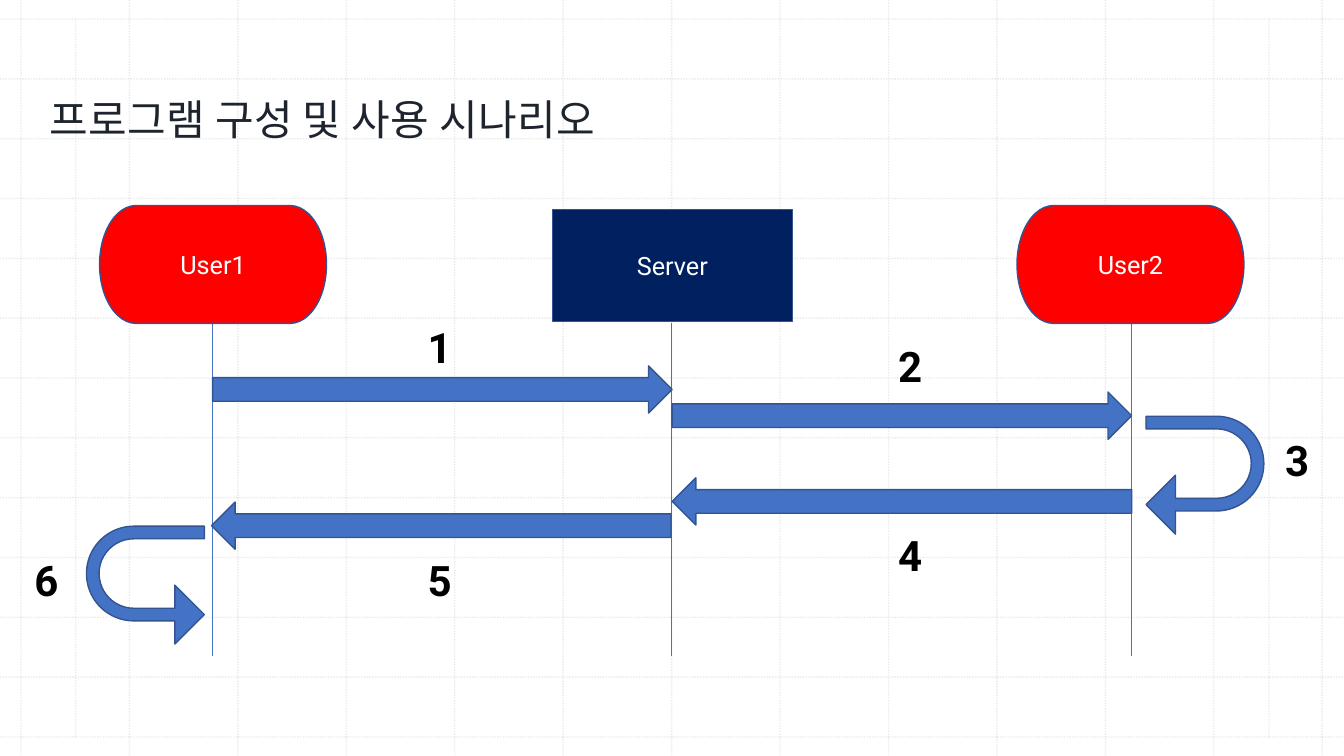
from lxml import etree
from pptx import Presentation
from pptx.dml.color import RGBColor
from pptx.enum.dml import MSO_LINE
from pptx.enum.shapes import MSO_CONNECTOR, MSO_SHAPE
from pptx.enum.text import MSO_ANCHOR, MSO_AUTO_SIZE, PP_ALIGN
from pptx.oxml.ns import qn
from pptx.util import Cm, Pt

STRAIGHT = MSO_CONNECTOR.STRAIGHT
DOTTED = MSO_LINE.ROUND_DOT
TERMINATOR = MSO_SHAPE.FLOWCHART_TERMINATOR
RECTANGLE = MSO_SHAPE.RECTANGLE
ARROW = MSO_SHAPE.RIGHT_ARROW
U_TURN = MSO_SHAPE.U_TURN_ARROW
TOP, MIDDLE = MSO_ANCHOR.TOP, MSO_ANCHOR.MIDDLE
LEFT, CENTER = PP_ALIGN.LEFT, PP_ALIGN.CENTER
GROW = MSO_AUTO_SIZE.SHAPE_TO_FIT_TEXT

COLORS = {
    "grid": "BCBCBC", "title": "1D242E", "user": "FF0000", "server": "002060",
    "arrow": "4472C4", "outline": "325491", "white": "FFFFFF", "black": "000000",
}
WIDTH, HEIGHT = 33.87, 19.05
GRID_STEPS = 12
GRID_LEFT, GRID_RIGHT = 0.53, 33.32
GRID_TOP, GRID_BOTTOM = 0.48, 18.57

deck = Presentation()
deck.slide_width, deck.slide_height = Cm(WIDTH), Cm(HEIGHT)
page = deck.slides.add_slide(deck.slide_layouts[6])


def write(box, text, size=18, color="white", bold=False, align=CENTER, anchor=MIDDLE):
    frame = box.text_frame
    frame.word_wrap = True
    frame.vertical_anchor = anchor
    para = frame.paragraphs[0]
    para.alignment = align
    span = para.add_run()
    span.text = text
    span.font.name = "Roboto"
    span.font.size = Pt(size)
    span.font.bold = bold
    span.font.color.rgb = RGBColor.from_string(COLORS[color])
    return para


def draw_line(x1, y1, x2, y2, color, width):
    line = page.shapes.add_connector(STRAIGHT, Cm(x1), Cm(y1), Cm(x2), Cm(y2))
    line.line.color.rgb = RGBColor.from_string(COLORS[color])
    line.line.width = Pt(width)
    if color == "grid":
        line.line.dash_style = DOTTED
        tint = line._element.find(".//" + qn("a:srgbClr"))
        etree.SubElement(tint, qn("a:alpha"), val="30000")
    etree.SubElement(line._element.spPr, qn("a:effectLst"))


grid_lines = [(1.91, GRID_TOP, 1.91, GRID_BOTTOM), (31.98, GRID_TOP, 31.98, GRID_BOTTOM)]
for step in range(GRID_STEPS + 1):
    x = GRID_LEFT + (GRID_RIGHT - GRID_LEFT) * step / GRID_STEPS
    y = GRID_TOP + (GRID_BOTTOM - GRID_TOP) * step / GRID_STEPS
    grid_lines += [(x, 0, x, HEIGHT), (0, y, WIDTH, y)]
for ends in grid_lines:
    draw_line(*ends, "grid", 1)

title = page.shapes.add_textbox(Cm(0.99), Cm(-0.89), Cm(19.63), Cm(7.59))
heading = write(title, "프로그램 구성 및 사용 시나리오", size=30, color="title", align=LEFT)
heading.line_spacing = 1.14
heading.space_before = Pt(10)
heading.runs[0].font._element.set("spc", "30")

for x in (5.36, 16.92, 28.51):
    draw_line(x, 8.15, x, 16.54, "arrow", 0.5)

blocks = [
    (TERMINATOR, 2.51, 5.18, 5.72, 2.97, "user", 0, "User1"),
    (TERMINATOR, 25.63, 5.18, 5.72, 2.97, "user", 0, "User2"),
    (RECTANGLE, 13.92, 5.28, 6.05, 2.82, "server", 0, "Server"),
    (ARROW, 5.36, 9.22, 11.58, 1.19, "arrow", 0, ""),
    (ARROW, 16.94, 9.88, 11.58, 1.19, "arrow", 0, ""),
    (U_TURN, 28.88, 10.49, 2.97, 2.97, "arrow", 90, ""),
    (ARROW, 16.94, 12.04, 11.58, 1.19, "arrow", 180, ""),
    (ARROW, 5.33, 12.65, 11.58, 1.19, "arrow", 180, ""),
    (U_TURN, 2.18, 13.26, 2.97, 2.97, "arrow", 270, ""),
]
for kind, x, y, width, height, color, turn, text in blocks:
    block = page.shapes.add_shape(kind, Cm(x), Cm(y), Cm(width), Cm(height))
    block.shadow.inherit = False
    block.fill.solid()
    block.fill.fore_color.rgb = RGBColor.from_string(COLORS[color])
    block.line.color.rgb = RGBColor.from_string(COLORS["outline"])
    block.line.width = Pt(1)
    block.rotation = turn
    if kind == U_TURN:
        for index, value in enumerate((0.107, 0.25, 0.25, 0.438, 1)):
            block.adjustments[index] = value
        if turn == 270:
            block._element.spPr.xfrm.set("flipH", "1")
    if text:
        write(block, text)

label_corners = [
    (10.24, 7.98), (22.1, 8.46), (31.85, 10.82),
    (22.1, 13.21), (10.24, 13.84), (0.33, 13.84),
]
for number, (x, y) in enumerate(label_corners, start=1):
    label = page.shapes.add_textbox(Cm(x), Cm(y), Cm(1.68), Cm(1.55))
    write(label, str(number), size=30, color="black", bold=True, anchor=TOP)
    label.text_frame.auto_size = GROW

deck.save("out.pptx")
